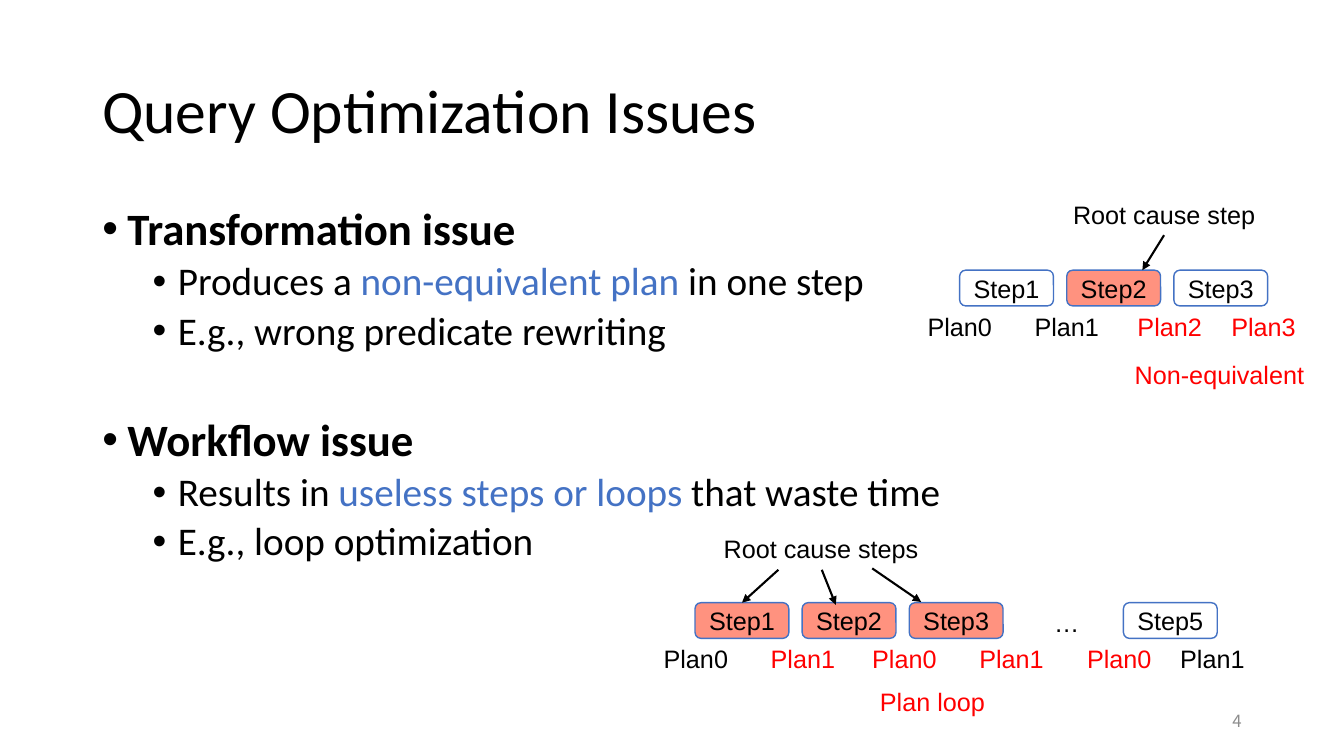
from dataclasses import dataclass
from typing import Optional

from lxml.etree import SubElement
from pptx import Presentation
from pptx.dml.color import RGBColor
from pptx.enum.shapes import MSO_CONNECTOR as Conn, MSO_SHAPE as Kind
from pptx.enum.text import MSO_ANCHOR as Anchor, PP_ALIGN as Align
from pptx.oxml.ns import qn
from pptx.util import Pt

BLACK = RGBColor(0, 0, 0)
WHITE = RGBColor(255, 255, 255)
RED = RGBColor(255, 0, 0)
BLUE = RGBColor(0x44, 0x72, 0xC4)
CORAL = RGBColor(0xFF, 0x26, 0x00)
GRAY = RGBColor(0x8C, 0x8C, 0x8C)

STEP_W, STEP_H, PITCH = 67, 25.5, 76.5
PLAN_W, LABEL_W, LABEL_H = 74, 158, 29


@dataclass
class Step:
    slot: int
    name: str
    cause: bool = False


@dataclass
class Plan:
    mid: float
    name: str
    bad: bool = False


@dataclass
class Arrow:
    x1: float
    y1: float
    x2: float
    y2: float
    goal: Optional[str] = None


@dataclass
class Flow:
    left: float
    top: float
    steps: list[Step]
    plans: list[Plan]
    arrows: list[Arrow]


@dataclass
class Bullet:
    texts: list[str]  # every second text is blue
    gap: float
    head: bool = False


BULLETS = [
    Bullet(["Transformation issue"], 0, True),
    Bullet(["Produces a ", "non-equivalent plan ", "in one step"], 5),
    Bullet(["E.g., wrong predicate rewriting"], 5),
    Bullet(["Workflow issue"], 45.5, True),
    Bullet(["Results in ", "useless steps or loops ", "that waste time"], 5),
    Bullet(["E.g., loop optimization"], 5),
]

FLOWS = [
    Flow(685.5, 193,
         [Step(0, "Step1"), Step(1, "Step2", True), Step(2, "Step3")],
         [Plan(685.5, "Plan0"), Plan(762, "Plan1"),
          Plan(835.5, "Plan2", True), Plan(902.5, "Plan3", True)],
         [Arrow(831.5, 168, 816, 193)]),
    Flow(496.5, 430.5,
         [Step(0, "Step1", True), Step(1, "Step2", True),
          Step(2, "Step3", True), Step(4, "Step5")],
         [Plan(497, "Plan0"), Plan(573.5, "Plan1", True),
          Plan(646, "Plan0", True), Plan(722.5, "Plan1", True),
          Plan(799.5, "Plan0", True), Plan(866, "Plan1")],
         [Arrow(556, 407, 530, 430.5, "Step1"), Arrow(587, 407, 597, 432),
          Arrow(623, 406, 658, 430)]),
]


def style(par, size: float, name: str = "Arial", color=BLACK,
          bold: bool = False) -> None:
    font = par.font
    font.size, font.name, font.bold = Pt(size), name, bold
    font.color.rgb = color


def add_text(slide, text: str, x: float, y: float, w: float, h: float,
             size: float = 18, name: str = "Arial", color=BLACK,
             align=Align.CENTER, anchor=Anchor.TOP):
    box = slide.shapes.add_textbox(Pt(x), Pt(y), Pt(w), Pt(h))
    frame = box.text_frame
    frame.word_wrap = True
    frame.vertical_anchor = anchor
    par = frame.paragraphs[0]
    par.text, par.alignment = text, align
    style(par, size, name, color)
    return frame


def add_bullets(slide) -> None:
    box = slide.shapes.add_textbox(Pt(66), Pt(144), Pt(828), Pt(342.5))
    frame = box.text_frame
    frame.word_wrap = True
    for i, item in enumerate(BULLETS):
        par = frame.add_paragraph() if i else frame.paragraphs[0]
        par.level = 0 if item.head else 1
        par.line_spacing, par.space_before = 0.9, Pt(item.gap)
        props = par._p.get_or_add_pPr()
        props.set("marL", str(Pt(18 if item.head else 54)))
        props.set("indent", str(Pt(-18)))
        SubElement(props, qn("a:buFont"), typeface="Arial")
        SubElement(props, qn("a:buChar"), char="•")
        style(par, 32 if item.head else 28, "Calibri", bold=item.head)
        for k, text in enumerate(item.texts):
            run = par.add_run()
            run.text = text
            if k % 2:
                run.font.color.rgb = BLUE


def add_step(slide, flow: Flow, step: Step):
    box = slide.shapes.add_shape(
        Kind.ROUNDED_RECTANGLE, Pt(flow.left + step.slot * PITCH),
        Pt(flow.top), Pt(STEP_W), Pt(STEP_H))
    box.shadow.inherit = False
    box.fill.solid()
    box.fill.fore_color.rgb = CORAL if step.cause else WHITE
    if step.cause:
        tint = box._element.spPr.find(qn("a:solidFill"))[0]
        SubElement(tint, qn("a:alpha"), val="50000")
    box.line.color.rgb, box.line.width = BLUE, Pt(1)
    frame = box.text_frame
    frame.vertical_anchor = Anchor.MIDDLE
    par = frame.paragraphs[0]
    par.text, par.alignment = step.name, Align.CENTER
    style(par, 18)
    return box


def add_arrow(slide, arrow: Arrow, boxes: dict) -> None:
    line = slide.shapes.add_connector(
        Conn.STRAIGHT, Pt(arrow.x1), Pt(arrow.y1), Pt(arrow.x2), Pt(arrow.y2))
    if arrow.goal:
        line.end_connect(boxes[arrow.goal], 0)
    line.line.color.rgb, line.line.width = BLACK, Pt(1.5)
    props = line._element.spPr
    SubElement(props.find(qn("a:ln")), qn("a:tailEnd"), type="triangle")
    SubElement(props, qn("a:effectLst"))


def add_flow(slide, flow: Flow) -> None:
    boxes = {step.name: add_step(slide, flow, step) for step in flow.steps}
    for plan in flow.plans:
        add_text(slide, plan.name, plan.mid - PLAN_W / 2, flow.top + STEP_H,
                 PLAN_W, LABEL_H, color=RED if plan.bad else BLACK)
    for arrow in flow.arrows:
        add_arrow(slide, arrow, boxes)


def main() -> None:
    deck = Presentation()
    deck.slide_width, deck.slide_height = Pt(960), Pt(540)
    slide = deck.slides.add_slide(deck.slide_layouts[6])
    title = add_text(slide, "Query Optimization Issues", 66, 28.75, 828, 104.5,
                     44, "Calibri", align=Align.LEFT, anchor=Anchor.MIDDLE)
    title.paragraphs[0].line_spacing = 0.9
    add_bullets(slide)
    add_text(slide, "4", 678, 500.5, 216, 28.75, 12, "Noto Sans CJK SC",
             GRAY, Align.RIGHT, Anchor.MIDDLE)
    for flow in FLOWS:
        add_flow(slide, flow)
    add_text(slide, "Root cause step", 752.5, 138.5, LABEL_W, LABEL_H)
    add_text(slide, "Non-equivalent", 794, 253, LABEL_W - 4, LABEL_H, color=RED)
    add_text(slide, "Root cause steps", 507.5, 377.5, LABEL_W, LABEL_H)
    add_text(slide, "…", 725, 430, PLAN_W, LABEL_H)
    add_text(slide, "Plan loop", 589, 487, LABEL_W - 4, LABEL_H, color=RED)
    deck.save("out.pptx")


if __name__ == "__main__":
    main()
